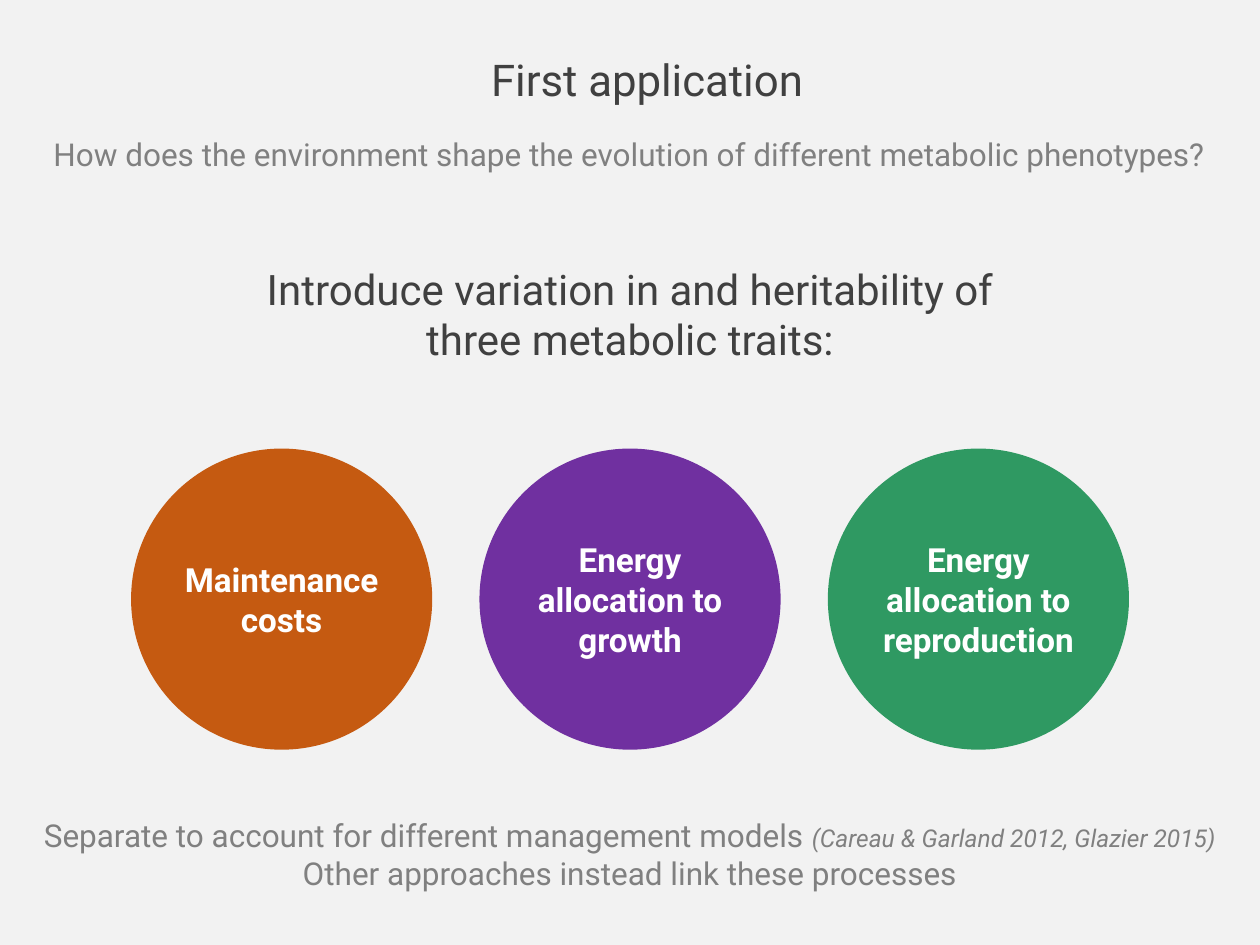
from dataclasses import dataclass

from pptx import Presentation
from pptx.dml.color import RGBColor
from pptx.enum.shapes import MSO_SHAPE
from pptx.enum.text import MSO_ANCHOR, PP_ALIGN
from pptx.slide import Slide
from pptx.util import Inches, Pt

OVAL = MSO_SHAPE.OVAL
MIDDLE = MSO_ANCHOR.MIDDLE
CENTER = PP_ALIGN.CENTER

FONT = "Roboto"
COLORS = {
    "background": "F2F2F2",
    "heading": "404040",
    "muted": "808080",
    "white": "FFFFFF",
    "maintenance": "C55A11",
    "growth": "7030A0",
    "reproduction": "2F9962",
}

SLIDE_W, SLIDE_H = 10, 7.5
CIRCLE_SIZE, CIRCLE_TOP, CIRCLE_PITCH = 2.39, 3.56, 2.765


@dataclass
class Label:
    lines: list[str]
    left: float
    top: float
    width: float
    height: float
    size: float
    color: str
    line_spacing: float = 1.0


@dataclass
class Trait:
    name: str
    color: str


LABELS = [
    Label(["First application"], 1.56, 0.42, 7.15, 0.56, 25, "heading", 0.9),
    Label(["How does the environment shape the evolution of different metabolic phenotypes?"],
          0.1, 1.02, 9.79, 0.4, 18, "muted"),
    Label(["Introduce variation in and heritability of three metabolic traits:"],
          1.8, 2.04, 6.4, 0.91, 24, "heading"),
]
FOOTER = Label(["Separate to account for different management models ",
                "Other approaches instead link these processes"],
               0, 6.43, SLIDE_W, 0.71, 18, "muted")
CITATION = "(Careau & Garland 2012, Glazier 2015)"
TRAITS = [
    Trait("Maintenance costs", "maintenance"),
    Trait("Energy allocation to growth", "growth"),
    Trait("Energy allocation to reproduction", "reproduction"),
]


def rgb(name: str) -> RGBColor:
    return RGBColor.from_string(COLORS[name])


def style_paragraph(p, size: float, color: str, bold: bool = False) -> None:
    p.alignment = CENTER
    p.font.name = FONT
    p.font.size = Pt(size)
    p.font.bold = bold
    p.font.color.rgb = rgb(color)


def add_label(s: Slide, label: Label):
    box = s.shapes.add_textbox(Inches(label.left), Inches(label.top),
                               Inches(label.width), Inches(label.height))
    tf = box.text_frame
    tf.word_wrap = True
    tf.text = "\n".join(label.lines)
    for p in tf.paragraphs:
        style_paragraph(p, label.size, label.color)
        p.line_spacing = label.line_spacing
    return tf


def add_footer(s: Slide) -> None:
    p = add_label(s, FOOTER).paragraphs[0]
    r = p.add_run()
    r.text = CITATION
    r.font.size = Pt(14)
    r.font.italic = True
    for run in p.runs:
        run.font.name = FONT
        run.font.color.rgb = rgb(FOOTER.color)


def add_trait(s: Slide, trait: Trait, left: float) -> None:
    sp = s.shapes.add_shape(OVAL, Inches(left), Inches(CIRCLE_TOP),
                            Inches(CIRCLE_SIZE), Inches(CIRCLE_SIZE))
    sp.shadow.inherit = False
    sp.fill.solid()
    sp.fill.fore_color.rgb = rgb(trait.color)
    sp.line.fill.background()
    tf = sp.text_frame
    tf.word_wrap = True
    tf.vertical_anchor = MIDDLE
    tf.margin_left = tf.margin_right = tf.margin_top = tf.margin_bottom = 0
    tf.text = trait.name
    style_paragraph(tf.paragraphs[0], 19, "white", bold=True)


def main() -> None:
    prs = Presentation()
    prs.slide_width, prs.slide_height = Inches(SLIDE_W), Inches(SLIDE_H)
    s = prs.slides.add_slide(prs.slide_layouts[6])
    s.background.fill.solid()
    s.background.fill.fore_color.rgb = rgb("background")

    for label in LABELS:
        add_label(s, label)

    row_width = CIRCLE_SIZE + CIRCLE_PITCH * (len(TRAITS) - 1)
    row_left = (SLIDE_W - row_width) / 2
    for i, trait in enumerate(TRAITS):
        add_trait(s, trait, row_left + i * CIRCLE_PITCH)

    add_footer(s)
    prs.save("out.pptx")


if __name__ == "__main__":
    main()
